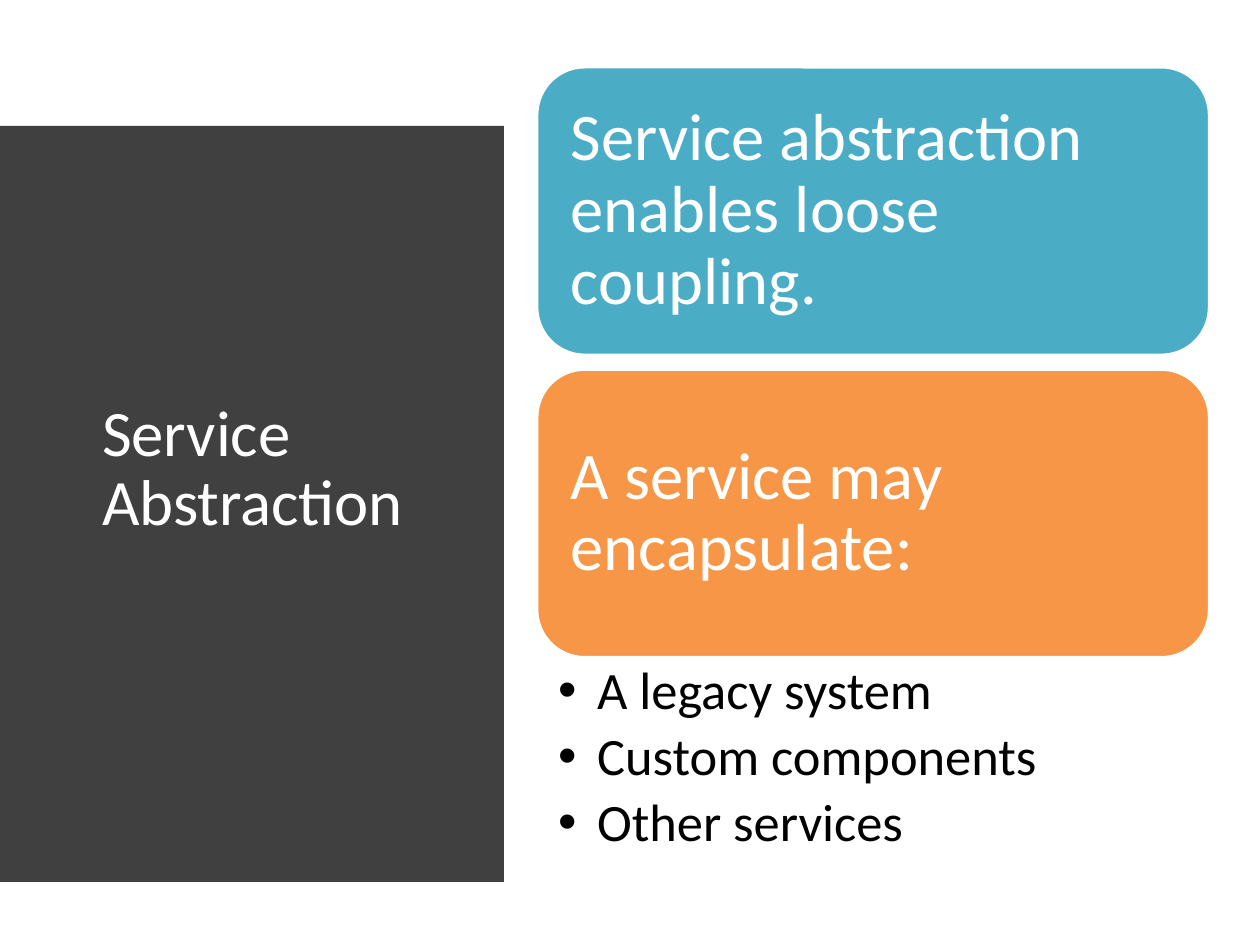
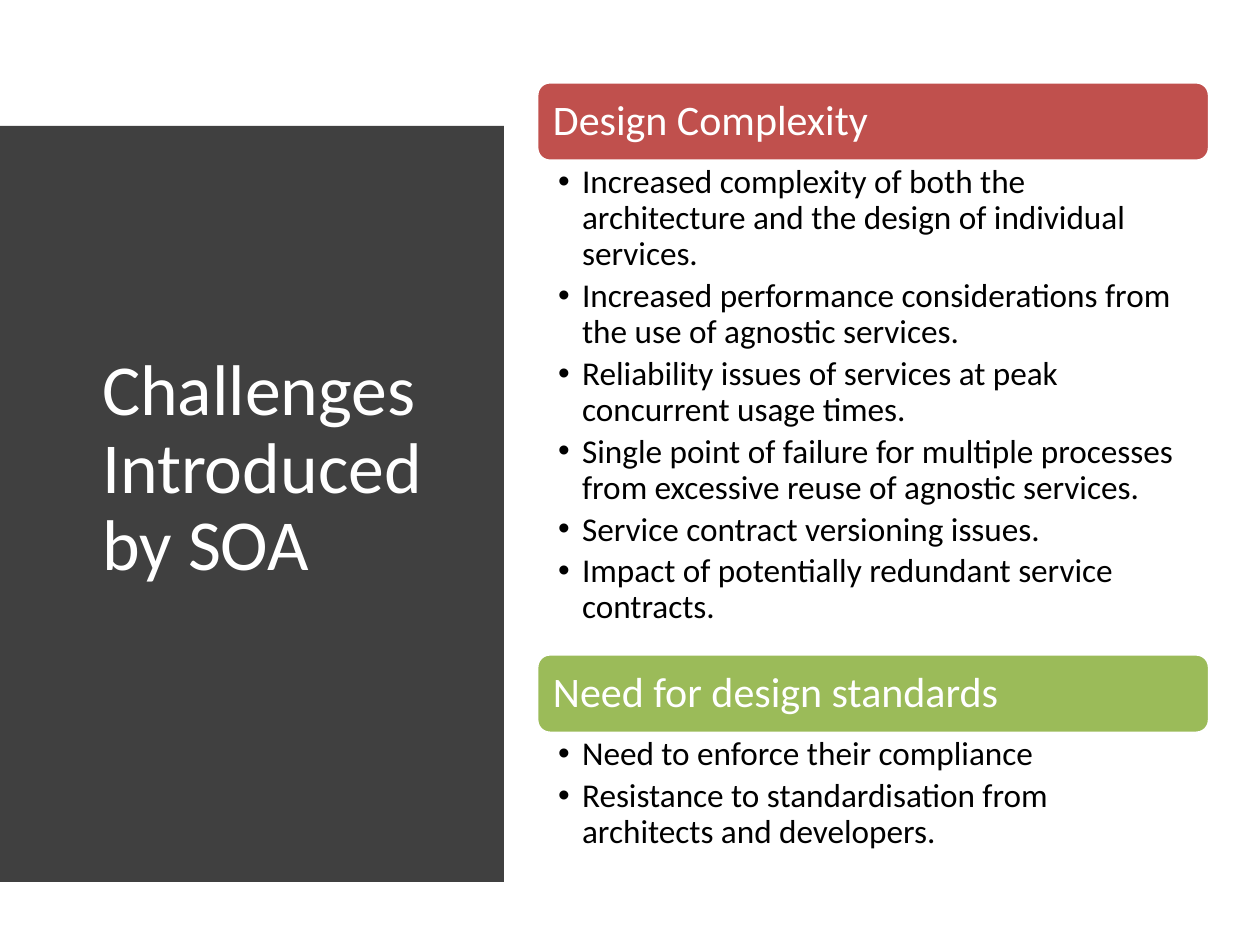
from pptx import Presentation
from pptx.dml.color import RGBColor
from pptx.enum.shapes import MSO_SHAPE as Shape
from pptx.enum.text import MSO_ANCHOR as Anchor, MSO_AUTO_SIZE as AutoSize, PP_ALIGN as Align
from pptx.util import Inches, Pt

WHITE = RGBColor(0xFF, 0xFF, 0xFF)
BLACK = RGBColor(0x00, 0x00, 0x00)
CHARCOAL = RGBColor(0x40, 0x40, 0x40)
TEAL = RGBColor(0x4B, 0xAC, 0xC6)
ORANGE = RGBColor(0xF7, 0x96, 0x46)
RED = RGBColor(0xC0, 0x50, 0x4D)
GREEN = RGBColor(0x9B, 0xBB, 0x59)

TOPICS = [
    {
        "title": "Service Abstraction", "title_size": 37,
        "top": 0.53, "heading_height": 2.29, "heading_size": 38, "heading_inset": 0.16,
        "point_size": 30, "point_indent": 0.31, "point_insets": (0.17, 0.05, 0.3, 0.05),
        "sections": [
            ("Service abstraction enables loose coupling.", TEAL, 0, []),
            ("A service may encapsulate:", ORANGE, 1.72, [
                "A legacy system",
                "Custom components",
                "Other services",
            ]),
        ],
    },
    {
        "title": "Challenges Introduced by SOA", "title_size": 41,
        "top": 0.65, "heading_height": 0.63, "heading_size": 24, "heading_inset": 0.1,
        "point_size": 19, "point_indent": 0.19, "point_insets": (0.17, 0.03, 0.19, 0.03),
        "sections": [
            ("Design Complexity", RED, 3.91, [
                "Increased complexity of both the architecture and the design of individual services.",
                "Increased performance considerations from the use of agnostic services.",
                "Reliability issues of services at peak concurrent usage times.",
                "Single point of failure for multiple processes from excessive reuse of agnostic services.",
                "Service contract versioning issues.",
                "Impact of potentially redundant service contracts.",
            ]),
            ("Need for design standards", GREEN, 1.01, [
                "Need to enforce their compliance",
                "Resistance to standardisation from architects and developers.",
            ]),
        ],
    },
]

FONT = "Calibri"
LAYOUT_BY_LISTS = {1: "Title and Content", 2: "Two Content"}
PANEL_LEFT, PANEL_TOP, PANEL_EDGE, PANEL_BOTTOM = 0.4, 0.52, 3.81, 6.96
PANEL_BULGE, PANEL_STEPS = 0.18, 40
TITLE_AREA = (0.71, 1.11, 2.8, 5.24)
COLUMN_LEFT, COLUMN_WIDTH, HEADING_GAP = 4.26, 5.34, 0.11
POINT_SPACING = 0.18


def assign(target, **values):
    for name, value in values.items():
        setattr(target, name, value)


def place(shape, area):
    assign(shape, **dict(zip(("left", "top", "width", "height"), map(Inches, area))))


def write(shape, lines, size, color, anchor, insets, spacing=0, indent=0):
    frame = shape.text_frame
    frame.text = "\n".join(lines)
    sides = ("margin_left", "margin_top", "margin_right", "margin_bottom")
    assign(frame, word_wrap=True, auto_size=AutoSize.NONE, vertical_anchor=anchor,
           **dict(zip(sides, map(Inches, insets))))
    for paragraph in frame.paragraphs:
        assign(paragraph, alignment=Align.LEFT, line_spacing=0.9,
               space_before=Pt(0), space_after=Pt(spacing))
        assign(paragraph.runs[0].font, name=FONT, size=Pt(size))
        paragraph.runs[0].font.color.rgb = color
        if indent:
            properties = paragraph._p.get_or_add_pPr()
            properties.set("marL", str(Inches(indent)))
            properties.set("indent", str(-Inches(indent)))


def paint(shape, fill):
    shape.shadow.inherit = False
    shape.fill.solid()
    shape.fill.fore_color.rgb = fill


def add_panel(slide):
    curve = []
    for step in range(PANEL_STEPS + 1):
        share = step / PANEL_STEPS
        curve.append((PANEL_EDGE + PANEL_BULGE * 4 * share * (1 - share),
                      PANEL_TOP + (PANEL_BOTTOM - PANEL_TOP) * share))
    outline = slide.shapes.build_freeform(PANEL_LEFT, PANEL_TOP, scale=Inches(1))
    outline.add_line_segments(curve + [(PANEL_LEFT, PANEL_BOTTOM)], close=True)
    panel = outline.convert_to_shape()
    paint(panel, CHARCOAL)
    panel.line.fill.background()
    slide.shapes._spTree.insert(2, panel._element)


def add_heading(slide, topic, text, fill, top):
    heading = slide.shapes.add_shape(Shape.ROUNDED_RECTANGLE, 0, 0, 0, 0)
    place(heading, (COLUMN_LEFT, top, COLUMN_WIDTH, topic["heading_height"]))
    paint(heading, fill)
    heading.line.color.rgb = WHITE
    heading.line.width = Pt(2)
    write(heading, [text], topic["heading_size"], WHITE, Anchor.MIDDLE,
          [topic["heading_inset"]] * 4)


def add_topic(deck, topic):
    list_count = sum(bool(points) for *_, points in topic["sections"])
    slide = deck.slides.add_slide(deck.slide_layouts.get_by_name(LAYOUT_BY_LISTS[list_count]))
    title, *bodies = slide.placeholders
    add_panel(slide)
    place(title, TITLE_AREA)
    write(title, [topic["title"]], topic["title_size"], WHITE, Anchor.MIDDLE,
          (0.1, 0.05, 0.1, 0.05))
    top = topic["top"]
    remaining = iter(bodies)
    for heading, fill, list_height, points in topic["sections"]:
        add_heading(slide, topic, heading, fill, top)
        top += topic["heading_height"]
        if points:
            body = next(remaining)
            place(body, (COLUMN_LEFT, top, COLUMN_WIDTH, list_height))
            write(body, points, topic["point_size"], BLACK, Anchor.TOP, topic["point_insets"],
                  POINT_SPACING * topic["point_size"], topic["point_indent"])
        top += list_height or HEADING_GAP


def main():
    deck = Presentation()
    assign(deck, slide_width=Inches(10), slide_height=Inches(7.5))
    for topic in TOPICS:
        add_topic(deck, topic)
    deck.save("out.pptx")


if __name__ == "__main__":
    main()
